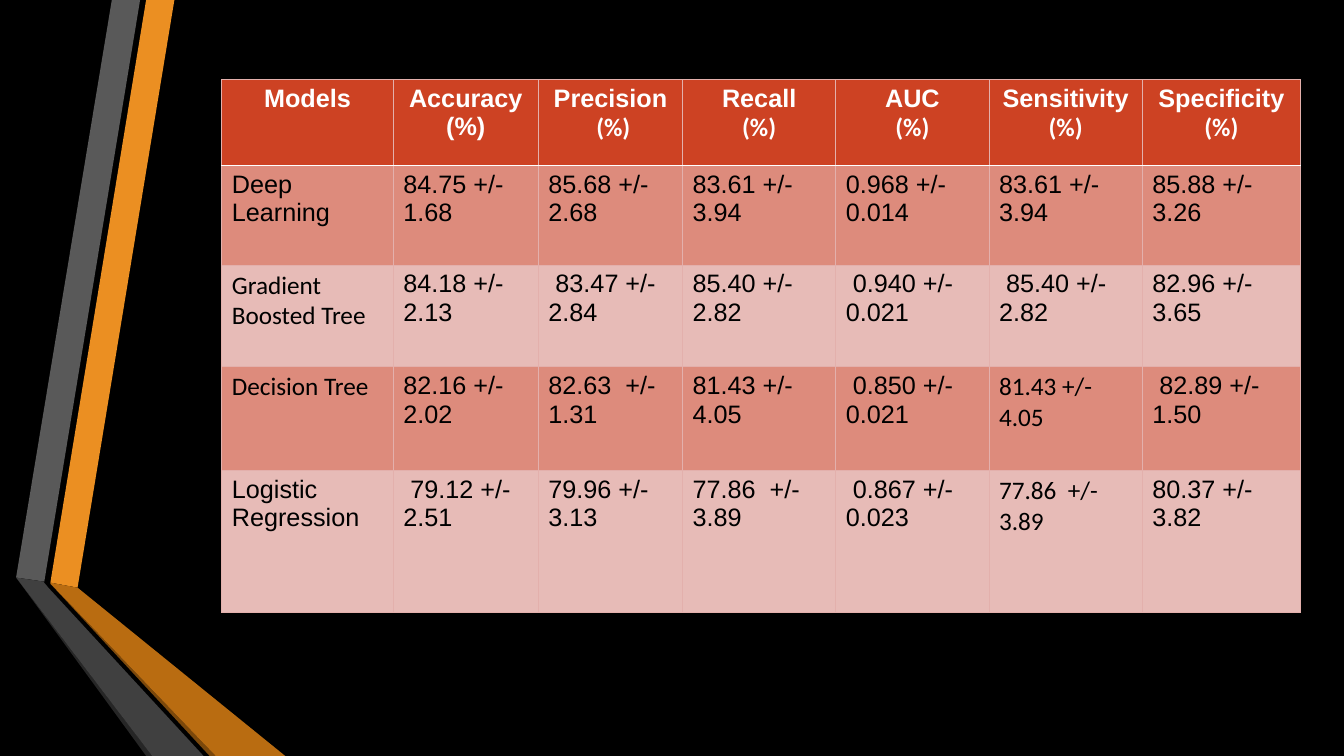
from dataclasses import dataclass
from typing import NamedTuple

from lxml.etree import SubElement
from pptx import Presentation
from pptx.dml.color import RGBColor
from pptx.enum.text import PP_ALIGN
from pptx.oxml.ns import qn
from pptx.util import Inches, Pt

GRID_UNIT = Inches(0.01)
GRID_COLUMNS, GRID_ROWS = 1333, 750

BLACK = RGBColor(0x00, 0x00, 0x00)
WHITE = RGBColor(0xFF, 0xFF, 0xFF)
ORANGE = RGBColor(0xEB, 0x8F, 0x22)
ORANGE_SHADE = RGBColor(0xB9, 0x6C, 0x11)
ORANGE_EDGE = RGBColor(0x7B, 0x48, 0x0B)
GREY = RGBColor(0x59, 0x59, 0x59)
GREY_SHADE = RGBColor(0x40, 0x40, 0x40)
GREY_EDGE = RGBColor(0x26, 0x26, 0x26)
HEADER_RED = RGBColor(0xCD, 0x42, 0x23)
DARK_BAND = RGBColor(0xDD, 0x8B, 0x7C)
LIGHT_BAND = RGBColor(0xE7, 0xBB, 0xB7)
GRID_PINK = RGBColor(0xE3, 0xB0, 0xAC)

ARIAL, CALIBRI = "Arial", "Calibri"


class Line(NamedTuple):
    text: str
    font: str = ARIAL


Entry = tuple[Line, ...]


@dataclass(frozen=True)
class Ribbon:
    color: RGBColor
    corners: tuple[tuple[int, int], ...]


@dataclass(frozen=True)
class Band:
    fill: RGBColor
    ink: RGBColor
    bold: bool
    align: PP_ALIGN
    bottom_color: RGBColor
    bottom_width: float


RIBBONS = (
    Ribbon(ORANGE, ((50, 578), (77, 583), (173, 0), (145, 0))),
    Ribbon(GREY, ((139, 0), (111, 0), (16, 573), (44, 577))),
    Ribbon(GREY_EDGE, ((16, 573), (145, 750), (151, 750))),
    Ribbon(ORANGE_EDGE, ((50, 579), (208, 750), (214, 750))),
    Ribbon(ORANGE_SHADE, ((50, 578), (50, 579), (214, 750), (283, 750), (77, 583))),
    Ribbon(GREY_SHADE, ((202, 750), (48, 583), (43, 577), (16, 573), (151, 750))),
)

HEADER = Band(HEADER_RED, WHITE, True, PP_ALIGN.CENTER, WHITE, 1.25)
DARK = Band(DARK_BAND, BLACK, False, PP_ALIGN.LEFT, GRID_PINK, 0.75)
LIGHT = Band(LIGHT_BAND, BLACK, False, PP_ALIGN.LEFT, GRID_PINK, 0.75)

TABLE_LEFT, TABLE_TOP = 220, 79
COLUMN_SPANS = (170, 144, 143, 152, 152, 152, 157)
ROW_SPANS = (85, 99, 101, 103, 141)


def measure(name: str) -> Entry:
    return Line(name), Line("(%)", CALIBRI)


def entries(*texts: str) -> tuple[Entry, ...]:
    return tuple((Line(text),) for text in texts)


RESULTS: tuple[tuple[Entry, ...], ...] = (
    (
        *entries("Models", "Accuracy (%)"),
        (Line("Precision"), Line(" (%)", CALIBRI)),
        *map(measure, ("Recall", "AUC", "Sensitivity", "Specificity")),
    ),
    entries("Deep Learning", "84.75 +/- 1.68", "85.68 +/- 2.68", "83.61 +/- 3.94",
            "0.968 +/- 0.014", "83.61 +/- 3.94", "85.88 +/- 3.26"),
    (
        (Line("Gradient", CALIBRI), Line("Boosted Tree", CALIBRI)),
        *entries("84.18 +/- 2.13", " 83.47 +/- 2.84", "85.40 +/- 2.82",
                 " 0.940 +/- 0.021", " 85.40 +/- 2.82", "82.96 +/- 3.65"),
    ),
    (
        (Line("Decision Tree", CALIBRI),),
        *entries("82.16 +/- 2.02", "82.63  +/- 1.31", "81.43 +/- 4.05", " 0.850 +/- 0.021"),
        (Line("81.43 +/- 4.05", CALIBRI),),
        *entries(" 82.89 +/- 1.50"),
    ),
    (
        *entries("Logistic Regression", " 79.12 +/- 2.51", "79.96 +/- 3.13",
                 "77.86  +/- 3.89", " 0.867 +/- 0.023"),
        (Line("77.86  +/- 3.89", CALIBRI),),
        *entries("80.37 +/- 3.82"),
    ),
)


def draw_ribbon(slide, ribbon: Ribbon) -> None:
    start, *rest = ribbon.corners
    outline = slide.shapes.build_freeform(*start, scale=GRID_UNIT)
    outline.add_line_segments(rest, close=True)
    strip = outline.convert_to_shape()
    strip.shadow.inherit = False
    strip.fill.solid()
    strip.fill.fore_color.rgb = ribbon.color
    strip.line.fill.background()


def draw_border(cell, side: str, color: RGBColor, width: float) -> None:
    edge = SubElement(cell._tc.get_or_add_tcPr(), qn(f"a:{side}"), w=str(Pt(width)))
    SubElement(SubElement(edge, qn("a:solidFill")), qn("a:srgbClr"), val=str(color))


def fill_cell(cell, entry: Entry, band: Band, top_color: RGBColor, top_width: float) -> None:
    for side, color, width in (
        ("lnL", GRID_PINK, 0.75),
        ("lnR", GRID_PINK, 0.75),
        ("lnT", top_color, top_width),
        ("lnB", band.bottom_color, band.bottom_width),
    ):
        draw_border(cell, side, color, width)
    cell.fill.solid()
    cell.fill.fore_color.rgb = band.fill
    for index, line in enumerate(entry):
        frame = cell.text_frame
        paragraph = frame.add_paragraph() if index else frame.paragraphs[0]
        paragraph.alignment = band.align
        run = paragraph.add_run()
        run.text = line.text
        for attribute, value in {"name": line.font, "size": Pt(18), "bold": band.bold}.items():
            setattr(run.font, attribute, value)
        run.font.color.rgb = band.ink


def draw_results(slide) -> None:
    results = slide.shapes.add_table(
        len(ROW_SPANS), len(COLUMN_SPANS),
        TABLE_LEFT * GRID_UNIT, TABLE_TOP * GRID_UNIT,
        sum(COLUMN_SPANS) * GRID_UNIT, sum(ROW_SPANS) * GRID_UNIT,
    ).table
    for flag, value in {"first_row": False, "horz_banding": False}.items():
        setattr(results, flag, value)
    for column, span in zip(results.columns, COLUMN_SPANS):
        column.width = span * GRID_UNIT
    top_color, top_width = GRID_PINK, 0.75
    for index, (row, span, model) in enumerate(zip(results.rows, ROW_SPANS, RESULTS)):
        row.height = span * GRID_UNIT
        band = (DARK if index % 2 else LIGHT) if index else HEADER
        for cell, entry in zip(row.cells, model):
            fill_cell(cell, entry, band, top_color, top_width)
        top_color, top_width = band.bottom_color, band.bottom_width


def main() -> None:
    deck = Presentation()
    deck.slide_width = GRID_COLUMNS * GRID_UNIT
    deck.slide_height = GRID_ROWS * GRID_UNIT
    slide = deck.slides.add_slide(deck.slide_layouts[6])
    slide.background.fill.solid()
    slide.background.fill.fore_color.rgb = BLACK
    for ribbon in RIBBONS:
        draw_ribbon(slide, ribbon)
    draw_results(slide)
    deck.save("out.pptx")


if __name__ == "__main__":
    main()
